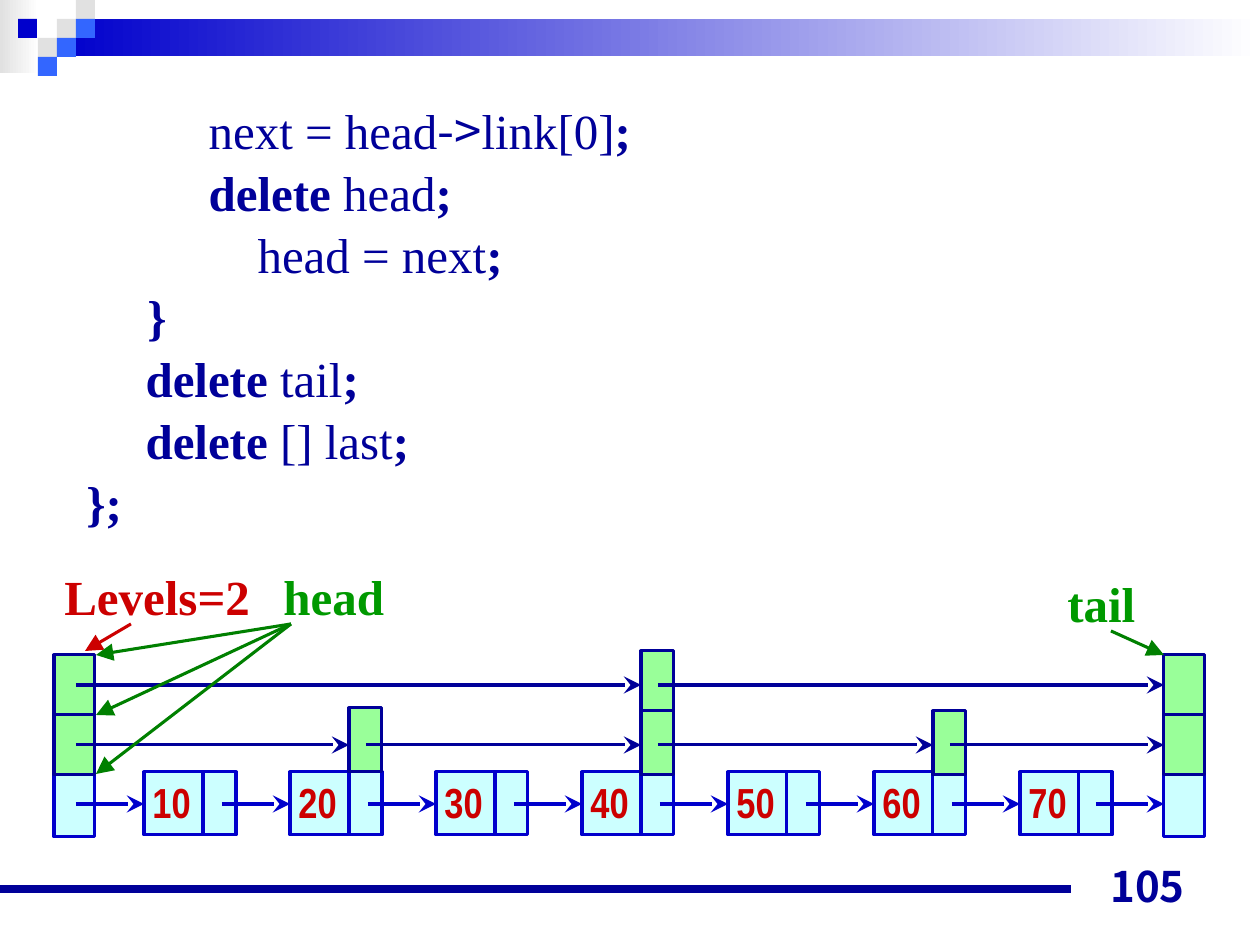
from lxml.etree import SubElement
from pptx import Presentation
from pptx.dml.color import RGBColor
from pptx.enum.shapes import MSO_CONNECTOR, MSO_SHAPE
from pptx.enum.text import MSO_ANCHOR, MSO_AUTO_SIZE, PP_ALIGN
from pptx.oxml.ns import qn
from pptx.util import Pt

PX = 914400 // 126
SERIF, NARROW, SANS = "Times New Roman", "Arial Narrow", "Noto Sans CJK JP"
CODE_FONT = "Noto Sans CJK SC"
NAVY, BLUE, RED, GREEN, DARK_GREEN = "000099", "0000CC", "CC0000", "009900", "008000"
CYAN, LIME, GREY, SKY = "CCFFFF", "99FF99", "E1E1E1", "3366FF"

# Each run is text, bold, font
CODE = [
    [("          ", True, SERIF), ("next = head", False, SERIF), ("->", False, CODE_FONT),
     ("link[0]", False, SERIF), (";", True, SERIF)],
    [("          delete ", True, SERIF), ("head", False, SERIF), (";", True, SERIF)],
    [("              ", True, SERIF), ("head = next", False, SERIF), (";", True, SERIF)],
    [("     }", True, SERIF)],
    [("\t delete ", True, SERIF), ("tail", False, SERIF), (";", True, SERIF)],
    [("\t delete ", True, SERIF), ("[] last", False, SERIF), (";", True, SERIF)],
    [("};", True, SERIF)],
]
BANDS = [((0, 0, 39, 73), GREY), ((57, 19, 1203, 37), BLUE)]
SQUARES = [(57, 19, GREY), (76, 0, GREY), (76, 19, SKY), (38, 38, GREY),
           (18, 19, BLUE), (57, 38, SKY), (38, 57, SKY)]
VALUES = [10, 20, 30, 40, 50, 60, 70]
# Values whose nodes reach each upper level, with the top of their cells
TOWERS = [
    {"row": 655, "arrow": 685, "cells": {40: 651}},
    {"row": 715, "arrow": 745, "cells": {20: 708, 40: 711, 60: 711}},
]
LABELS = [("Levels=2", 52, 560, 219, RED), ("head", 271, 560, 130, GREEN),
          ("tail", 1055, 567, 100, GREEN)]
POINTERS = [((131, 624), (85, 651), RED)] + [
    ((291, 624), (96, y), DARK_GREEN) for y in (655, 715, 774)
] + [((1111, 631), (1164, 655), DARK_GREEN)]

HEAD_X, TAIL_X, END_WIDTH = 54, 1164, 41
NODE_X, NODE_STEP, NODE_WIDTH, LINK_OFFSET = 144, 146, 92, 59
NODE_Y, NODE_HEIGHT, ARROW_Y, ARROW_LENGTH = 772, 63, 804, 68

presentation = Presentation()
presentation.slide_width, presentation.slide_height = 1260 * PX, 945 * PX
slide = presentation.slides.add_slide(presentation.slide_layouts[6])


def color(value):
    return RGBColor.from_string(value)


def add_box(x, y, width, height, fill, line=None, fade=False):
    shape = slide.shapes.add_shape(MSO_SHAPE.RECTANGLE, x * PX, y * PX, width * PX, height * PX)
    shape.shadow.inherit = False
    if fade:
        shape.fill.gradient()
        shape.fill.gradient_angle = 0
        for stop, stop_color in zip(shape.fill.gradient_stops, (fill, "FFFFFF")):
            stop.color.rgb = color(stop_color)
    else:
        shape.fill.solid()
        shape.fill.fore_color.rgb = color(fill)
    if line:
        shape.line.color.rgb = color(line)
        shape.line.width = Pt(1.75)
    else:
        shape.line.fill.background()


def add_line(start, end, line, width=1.75, head=None):
    connector = slide.shapes.add_connector(
        MSO_CONNECTOR.STRAIGHT, *(value * PX for value in start + end))
    connector.line.color.rgb = color(line)
    connector.line.width = Pt(width)
    if head:
        SubElement(connector.line._get_or_add_ln(), qn("a:tailEnd"),
                   type=head, w="lg", len="lg")
    SubElement(connector._element.spPr, qn("a:effectLst"))


def add_run(paragraph, text, font=SERIF, size=28, fill=NAVY, bold=True):
    run = paragraph.add_run()
    run.text = text
    run.font.name, run.font.size, run.font.bold = font, Pt(size), bold
    run.font.color.rgb = color(fill)


def add_frame(x, y, width, height, wrap=True):
    frame = slide.shapes.add_textbox(x * PX, y * PX, width * PX, height * PX).text_frame
    frame.word_wrap = wrap
    if not wrap:
        frame.auto_size = MSO_AUTO_SIZE.SHAPE_TO_FIT_TEXT
    return frame


def add_text(text, x, y, width, height, align=PP_ALIGN.LEFT, anchor=MSO_ANCHOR.TOP,
             wrap=True, **font):
    frame = add_frame(x, y, width, height, wrap)
    frame.vertical_anchor = anchor
    frame.paragraphs[0].alignment = align
    add_run(frame.paragraphs[0], text, **font)


def add_code():
    frame = add_frame(74, 91, 1134, 774)
    for index, runs in enumerate(CODE):
        paragraph = frame.add_paragraph() if index else frame.paragraphs[0]
        properties = paragraph._p.get_or_add_pPr()
        properties.set("marL", str(47 * PX))
        properties.set("indent", str(-47 * PX))
        paragraph.line_spacing = Pt(35.4)
        for text, bold, font in runs:
            add_run(paragraph, text, font=font, bold=bold)


def add_nodes(node_x):
    for x in (HEAD_X, TAIL_X):
        add_box(x, 774, END_WIDTH, NODE_HEIGHT, CYAN, BLUE)
    for value, x in node_x.items():
        add_box(x, NODE_Y, NODE_WIDTH, NODE_HEIGHT, CYAN, BLUE)
        add_line((x + LINK_OFFSET, NODE_Y), (x + LINK_OFFSET, NODE_Y + NODE_HEIGHT), BLUE)
        add_text(str(value), x - 4, 770, 84, 83, align=PP_ALIGN.JUSTIFY,
                 font=NARROW, size=24, fill=RED)
    for x in [*node_x.values(), TAIL_X]:
        add_line((x - ARROW_LENGTH, ARROW_Y), (x, ARROW_Y), BLUE, head="stealth")


def add_towers(node_x):
    for level in TOWERS:
        for x in (HEAD_X, TAIL_X):
            add_box(x, level["row"], END_WIDTH, 60, LIME, NAVY)
        stops = []
        for value, y in level["cells"].items():
            stops.append(node_x[value] + LINK_OFFSET)
            add_box(stops[-1], y, 33, 64, LIME, NAVY)
        starts = [HEAD_X + 22] + [x + 17 for x in stops]
        for start, end in zip(starts, stops + [TAIL_X]):
            add_line((start, level["arrow"]), (end, level["arrow"]), NAVY, head="stealth")


for bounds, fill in BANDS:
    add_box(*bounds, fill, fade=True)
for x, y, fill in SQUARES:
    add_box(x, y, 19, 19, fill)
add_line((0, 889), (1071, 889), NAVY, width=4.5)
add_code()

node_positions = {value: NODE_X + i * NODE_STEP for i, value in enumerate(VALUES)}
add_nodes(node_positions)
add_towers(node_positions)
for text, x, y, width, fill in LABELS:
    add_text(text, x, y, width, 72, wrap=False, fill=fill)
for start, end, fill in POINTERS:
    add_line(start, end, fill, head="triangle")
add_text("105", 903, 854, 294, 63, align=PP_ALIGN.RIGHT, anchor=MSO_ANCHOR.BOTTOM,
         font=SANS, size=24)

presentation.save("out.pptx")
